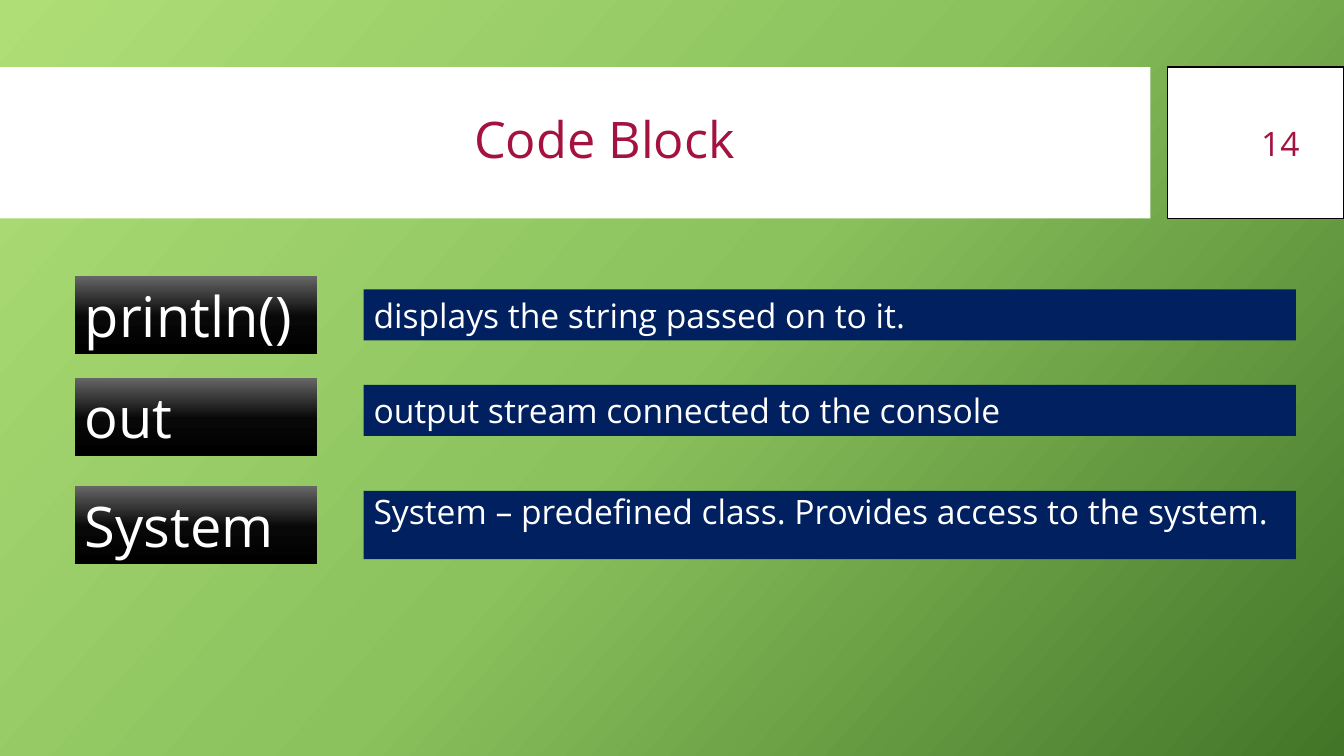
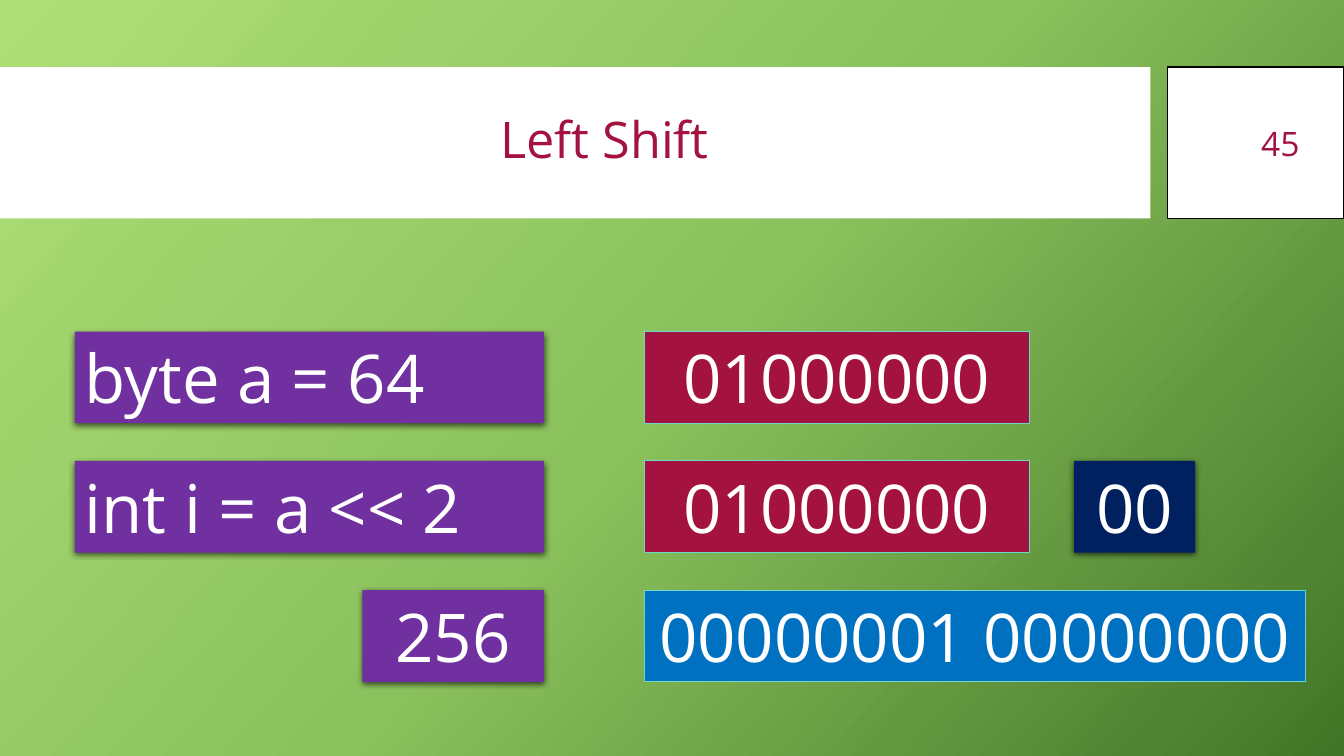
import dataclasses
import typing

import lxml.etree
import pptx
import pptx.dml.color
import pptx.enum.shapes
import pptx.enum.text
import pptx.oxml.ns
import pptx.shapes.autoshape
import pptx.slide
import pptx.util

Pt = pptx.util.Pt
Align = pptx.enum.text.PP_ALIGN
Anchor = pptx.enum.text.MSO_ANCHOR
Stops = tuple[tuple[int, str], ...]


# Colours and type sizes
@dataclasses.dataclass(frozen=True)
class Theme:
    font: str = "Open Sans"
    white: str = "FFFFFF"
    black: str = "000000"
    red: str = "A4123F"
    navy: str = "002060"
    purple: str = "7030A0"
    blue: str = "0070C0"
    aqua: str = "6AD8CB"
    green: Stops = ((0, "AFDE77"), (50, "8BC25D"), (100, "437528"))
    dark: Stops = ((0, "000000"), (48, "080808"), (100, "666666"))
    title: int = 36
    body: int = 24
    term: int = 40
    code: int = 48


THEME = Theme()


@dataclasses.dataclass(frozen=True)
class Box:
    left: float
    top: float
    width: float
    height: float
    fill: str | Stops | None = None
    line: str | None = None
    weight: float = 0.75
    shade: bool = False


# Drawing tools
def color(code: str) -> pptx.dml.color.RGBColor:
    return pptx.dml.color.RGBColor.from_string(code)


def add_node(host: typing.Any, tag: str, **attrs: str) -> typing.Any:
    return lxml.etree.SubElement(host, pptx.oxml.ns.qn(tag), attrs)


def blend(fill: typing.Any, root: typing.Any, stops: Stops, angle: int) -> None:
    """Fill with a gradient whose angle runs counter-clockwise."""
    fill.gradient()
    fill.gradient_angle = angle
    stop_list = next(root.iter(pptx.oxml.ns.qn("a:gsLst")))
    for old in list(stop_list):
        stop_list.remove(old)
    for place, code in stops:
        stop = add_node(stop_list, "a:gs", pos=str(place * 1000))
        add_node(stop, "a:srgbClr", val=code)


def cast_shade(shape: pptx.shapes.autoshape.Shape) -> None:
    effects = next(shape.element.iter(pptx.oxml.ns.qn("a:effectLst")))
    shade = add_node(effects, "a:outerShdw", blurRad=str(Pt(4.5)),
                     dist=str(Pt(1.5)), dir="5400000", rotWithShape="0")
    tint = add_node(shade, "a:srgbClr", val=THEME.black)
    add_node(tint, "a:alpha", val="63000")


def draw_box(slide: pptx.slide.Slide, box: Box) -> pptx.shapes.autoshape.Shape:
    place = [Pt(n) for n in (box.left, box.top, box.width, box.height)]
    if box.fill is None:
        return slide.shapes.add_textbox(*place)
    shape = slide.shapes.add_shape(pptx.enum.shapes.MSO_SHAPE.RECTANGLE, *place)
    shape.shadow.inherit = False
    if isinstance(box.fill, str):
        shape.fill.solid()
        shape.fill.fore_color.rgb = color(box.fill)
    else:
        blend(shape.fill, shape.element, box.fill, 90)
    if box.line:
        shape.line.color.rgb = color(box.line)
        shape.line.width = Pt(box.weight)
    else:
        shape.line.fill.background()
    if box.shade:
        cast_shade(shape)
    return shape


def write(slide: pptx.slide.Slide, box: Box, text: str, *, size: int,
          ink: str = THEME.white, align: Align = Align.LEFT,
          anchor: Anchor = Anchor.TOP, lead: float = 1, above: float = 0) -> None:
    frame = draw_box(slide, box).text_frame
    frame.word_wrap = True
    frame.vertical_anchor = anchor
    para = frame.paragraphs[0]
    para.alignment = align
    para.line_spacing = lead
    para.space_before = Pt(above)
    run = para.add_run()
    run.text = text
    run.font.name = THEME.font
    run.font.size = Pt(size)
    run.font.color.rgb = color(ink)


# Parts that all slides share
def start_slide(deck: typing.Any, title: str, page: int) -> pptx.slide.Slide:
    slide = deck.slides.add_slide(deck.slide_layouts[6])
    blend(slide.background.fill, slide.element, THEME.green, 318)
    draw_box(slide, Box(0, 48, 821.8, 108, THEME.white))
    draw_box(slide, Box(833.8, 48, 126.2, 108, THEME.white, THEME.black, 1))
    write(slide, Box(LEFT, 59, 756.7, 85), title, size=THEME.title,
          ink=THEME.red, align=Align.CENTER, anchor=Anchor.MIDDLE, lead=0.9)
    write(slide, Box(844.6, 59, 90.7, 85.7), str(page), size=THEME.body,
          ink=THEME.red, align=Align.RIGHT, anchor=Anchor.MIDDLE)
    return slide


LEFT = 53.5


# Slide of terms and what they mean
@dataclasses.dataclass(frozen=True)
class Term:
    name: str
    top: float
    note: str
    note_top: float
    note_tall: float = 36.4
    style: dict[str, typing.Any] = dataclasses.field(default_factory=dict)


TERMS = (
    Term("println()", 197.2, "displays the string passed on to it.", 206.8),
    Term("out", 270, "output stream connected to the console", 275),
    Term("System", 347.4,
         "System – predefined class. Provides access to the system.", 350.7, 48.8,
         {"align": Align.JUSTIFY, "lead": 0.9, "above": 10}),
)


def build_terms(deck: typing.Any) -> None:
    slide = start_slide(deck, "Code Block", 14)
    for term in TERMS:
        write(slide, Box(LEFT, term.top, 173, 55.5, THEME.dark),
              term.name, size=THEME.term)
        write(slide, Box(259.7, term.note_top, 666, term.note_tall, THEME.navy),
              term.note, size=THEME.body, **term.style)


# Slide of code and its bits
@dataclasses.dataclass(frozen=True)
class Cell:
    text: str
    row: int
    left: float
    width: float
    fill: str
    framed: bool = False
    align: Align = Align.CENTER


BITS = 460.4
CELLS = (
    Cell("byte a = 64", 0, LEFT, 335, THEME.purple, align=Align.LEFT),
    Cell("01000000", 0, BITS, 275, THEME.red, True),
    Cell("int i = a << 2", 1, LEFT, 335, THEME.purple, align=Align.LEFT),
    Cell("01000000", 1, BITS, 275, THEME.red, True),
    Cell("00", 1, 767.3, 86.4, THEME.navy),
    Cell("256", 2, 258.9, 129.6, THEME.purple),
    Cell("00000001 00000000", 2, BITS, 472.3, THEME.blue, True),
)


def build_shift(deck: typing.Any) -> None:
    slide = start_slide(deck, "Left Shift", 45)
    for cell in CELLS:
        box = Box(cell.left, 236.8 + 92.4 * cell.row, cell.width, 65.5, cell.fill,
                  line=THEME.aqua if cell.framed else None, shade=not cell.framed)
        write(slide, box, cell.text, size=THEME.code, align=cell.align)


deck = pptx.Presentation()
deck.slide_width, deck.slide_height = Pt(960), Pt(540)
build_terms(deck)
build_shift(deck)
deck.save("out.pptx")
